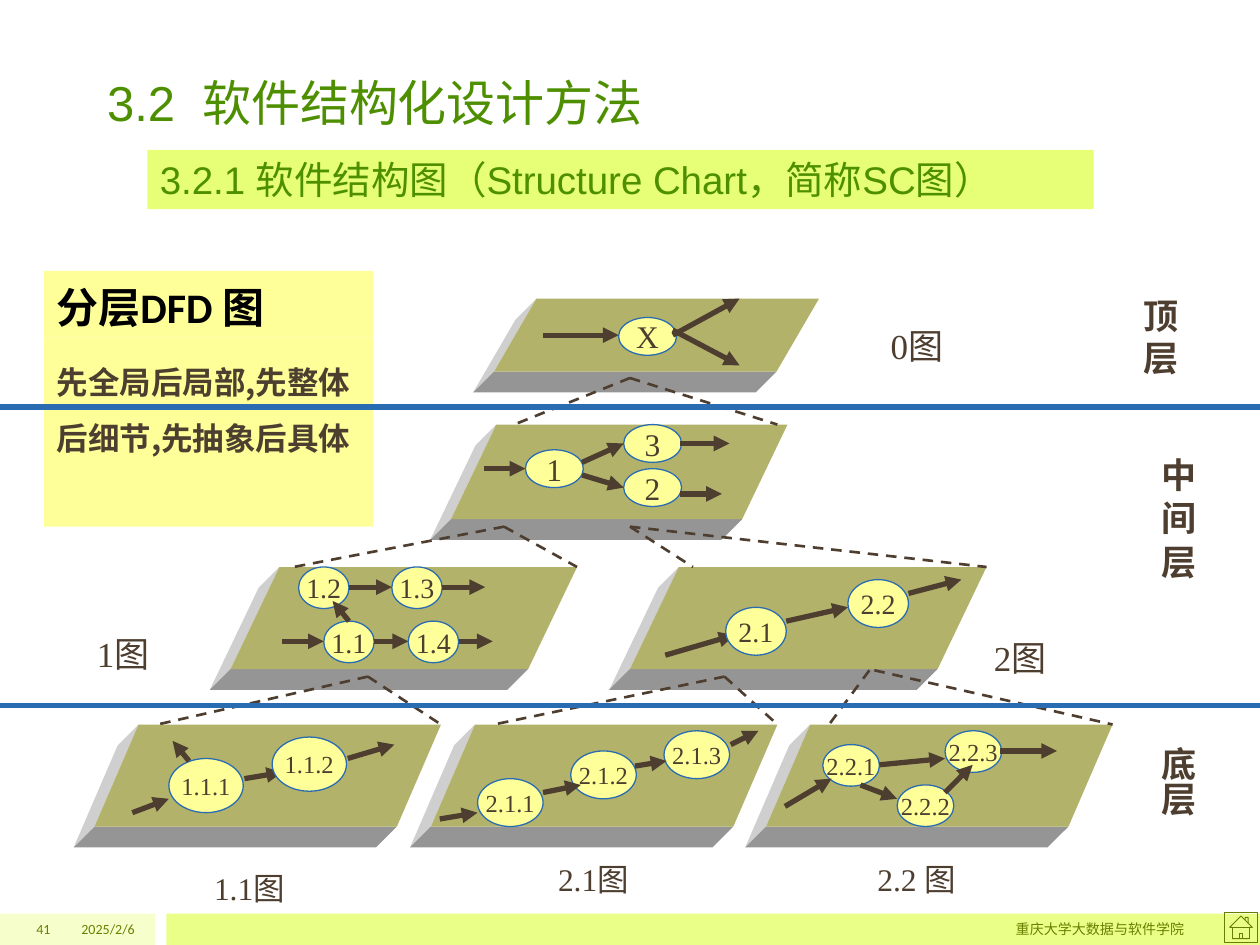
from dataclasses import dataclass

from lxml.etree import SubElement
from pptx import Presentation
from pptx.dml.color import RGBColor
from pptx.enum.dml import MSO_LINE
from pptx.enum.shapes import MSO_CONNECTOR, MSO_SHAPE
from pptx.enum.text import MSO_ANCHOR, PP_ALIGN
from pptx.oxml.ns import qn
from pptx.util import Inches, Pt


@dataclass(frozen=True)
class Theme:
    green: str = "4E8F00"
    footer_text: str = "688000"
    home_line: str = "677E00"
    footer_pale: str = "F6FFCC"
    footer_bar: str = "E9FF88"
    banner: str = "E6FF77"
    yellow: str = "FFFF99"
    brown: str = "4D3E2F"
    blue: str = "2A6CB2"
    black: str = "000000"
    slab_top: str = "B2B26B"
    slab_left: str = "CFCFCF"
    slab_front: str = "959595"
    sans: str = "Arial"
    serif: str = "Times New Roman"
    body: str = "Calibri"
    chinese: str = "Noto Sans CJK SC"
    title_size: int = 28
    heading_size: int = 24
    banner_size: int = 22
    label_size: int = 20
    text_size: int = 18
    footer_size: int = 8
    thin: float = 0.75
    dash: float = 1.5
    thick: float = 3


THEME = Theme()
SLAB_DEPTH = 0.165
TITLE = "3.2  软件结构化设计方法"
BANNER = "3.2.1 软件结构图（Structure Chart，简称SC图）"
HEADING = "分层DFD 图"
ADVICE = "先全局后局部,先整体后细节,先抽象后具体"

# left, top, width, height, slant as a share of the height
SLABS = [
    (3.92, 2.37, 2.58, 0.58, 0.582),
    (3.58, 3.37, 2.67, 0.75, 0.479),
    (1.83, 4.5, 2.75, 0.81, 0.479),
    (5, 4.5, 2.83, 0.81, 0.479),
    (0.75, 5.75, 2.75, 0.81, 0.432),
    (3.42, 5.75, 2.75, 0.81, 0.432),
    (6.08, 5.75, 2.75, 0.81, 0.432),
]
# ellipse width, height, type size, then name, left, top of each process
PROCESSES = [
    (0.46, 0.3, 18, [("X", 4.91, 2.52), ("1", 4.17, 3.57), ("3", 4.95, 3.37), ("2", 4.95, 3.72)]),
    (0.4, 0.33, 16, [("1.1", 2.57, 4.93), ("1.2", 2.37, 4.5), ("1.4", 3.24, 4.93), ("1.3", 3.11, 4.5)]),
    (0.48, 0.38, 16, [("2.1", 5.76, 4.82), ("2.2", 6.73, 4.6)]),
    (0.59, 0.43, 14, [("1.1.1", 1.34, 6.02), ("1.1.2", 2.16, 5.85)]),
    (0.52, 0.38, 14, [("2.1.3", 5.27, 5.8), ("2.1.2", 4.53, 5.96), ("2.1.1", 3.79, 6.18)]),
    (0.45, 0.33, 14, [("2.2.2", 7.12, 6.23), ("2.2.3", 7.5, 5.8), ("2.2.1", 6.53, 5.91)]),
]
# all lines: x and y of the start, x and y of the end
FLOWS_BEHIND = [(5.28, 5.2, 5.83, 5.04), (1.94, 6.18, 2.24, 6.13)]
FLOWS = [
    (4.31, 2.66, 4.91, 2.66), (5.34, 2.66, 5.87, 2.37), (5.34, 2.62, 5.87, 2.9),
    (3.84, 3.72, 4.17, 3.72), (4.62, 3.67, 4.95, 3.52), (5.4, 3.52, 5.79, 3.52),
    (4.62, 3.77, 4.95, 3.87), (5.4, 3.92, 5.73, 3.92),
    (2.24, 5.09, 2.57, 5.09), (2.97, 5.09, 3.24, 5.09), (2.77, 4.93, 2.64, 4.77),
    (2.77, 4.66, 3.11, 4.66), (3.51, 4.66, 3.85, 4.66), (3.64, 5.09, 3.91, 5.09),
    (6.24, 4.93, 6.73, 4.82), (7.21, 4.71, 7.63, 4.6),
    (1.05, 6.45, 1.34, 6.34), (2.76, 6.02, 3.13, 5.91), (1.5, 6.04, 1.37, 5.88),
    (3.49, 6.5, 3.79, 6.45), (4.31, 6.29, 4.61, 6.23), (5.04, 6.08, 5.29, 6.04),
    (5.8, 5.91, 6.02, 5.8),
    (6.23, 6.4, 6.6, 6.18), (6.98, 6.07, 7.5, 6.02), (7.94, 5.96, 8.39, 5.96),
    (6.83, 6.23, 7.12, 6.34), (7.5, 6.29, 7.72, 6.07),
]
EXPANSIONS = [
    (5, 3, 4.08, 3.37), (5, 3, 6.17, 3.37),
    (4, 4.18, 2.33, 4.5), (4, 4.18, 4.58, 4.5), (5, 4.18, 5.5, 4.5), (5, 4.18, 7.83, 4.5),
    (2.92, 5.37, 1.25, 5.75), (2.92, 5.37, 3.5, 5.75),
    (5.75, 5.37, 3.92, 5.75), (5.75, 5.37, 6.17, 5.75),
    (6.9, 5.32, 6.58, 5.75), (6.94, 5.32, 8.83, 5.75),
]
LEVEL_LINES = [(10, 3.23, 0, 3.23), (10, 5.6, 0, 5.6)]
# text, box, type size, alignment
DIAGRAM_LABELS = [
    ("0图", (6.97, 2.53, 0.75, 0.44), THEME.label_size, PP_ALIGN.LEFT),
    ("1图", (0.67, 4.97, 0.75, 0.44), THEME.label_size, PP_ALIGN.LEFT),
    ("2图", (7.79, 5, 0.75, 0.44), THEME.label_size, PP_ALIGN.LEFT),
    ("1.1图", (1.48, 6.85, 1, 0.4), THEME.text_size, PP_ALIGN.CENTER),
    ("2.1图", (4.17, 6.78, 1.08, 0.4), THEME.text_size, PP_ALIGN.CENTER),
    ("2.2 图", (6.65, 6.78, 1.25, 0.4), THEME.text_size, PP_ALIGN.CENTER),
]
# text, box, vertical writing
LEVEL_LABELS = [
    ("顶层", (8.98, 2.29, 0.58, 0.77), False),
    ("中 间 层", (9.02, 3.53, 0.54, 1.75), True),
    ("底层", (9.02, 5.83, 0.54, 1), True),
]
FOOTERS = [
    ("2025/2/6", (0.5, 7.25, 0.67, 0.25)),
    ("重庆大学大数据与软件学院", (2, 7.25, 7.5, 0.25)),
    ("41", (0, 7.25, 0.5, 0.25)),
]


def inches(values):
    return [Inches(value) for value in values]


def write(shape, text, size, color=THEME.brown, font=THEME.serif, bold=False,
          align=PP_ALIGN.LEFT, anchor=MSO_ANCHOR.TOP, wrap=True):
    frame = shape.text_frame
    frame.word_wrap, frame.vertical_anchor = wrap, anchor
    paragraph = frame.paragraphs[0]
    paragraph.alignment = align
    run = paragraph.add_run()
    run.text = text
    run.font.size, run.font.bold, run.font.name = Pt(size), bold, font
    run.font.color.rgb = RGBColor.from_string(color)
    SubElement(run.font._element, qn("a:ea"), typeface=THEME.chinese)
    return paragraph


def paint(shape, fill=None, line=None, width=THEME.thin):
    shape.shadow.inherit = False
    if fill:
        shape.fill.solid()
        shape.fill.fore_color.rgb = RGBColor.from_string(fill)
    else:
        shape.fill.background()
    if line:
        shape.line.color.rgb = RGBColor.from_string(line)
        shape.line.width = Pt(width)
    else:
        shape.line.fill.background()
    return shape


def add_shape(slide, kind, box, fill=None, line=None, width=THEME.thin):
    return paint(slide.shapes.add_shape(kind, *inches(box)), fill, line, width)


def add_line(slide, ends, color, width, dashed=False, arrow=False):
    connector = slide.shapes.add_connector(MSO_CONNECTOR.STRAIGHT, *inches(ends))
    connector.line.color.rgb = RGBColor.from_string(color)
    connector.line.width = Pt(width)
    if dashed:
        connector.line.dash_style = MSO_LINE.DASH
    if arrow:
        SubElement(connector.line._get_or_add_ln(), qn("a:tailEnd"), type="triangle")
    SubElement(connector._element.spPr, qn("a:effectLst"))


def add_slab(slide, left, top, width, height, slant):
    """Draw a parallelogram with its left and front sides showing thickness."""
    inset = slant * height
    back = (left + inset, top)
    corner = (left, top + height)
    right = (left + width - inset, top + height)
    for (x1, y1), (x2, y2), fill in ((back, corner, THEME.slab_left), (corner, right, THEME.slab_front)):
        builder = slide.shapes.build_freeform(Inches(x1), Inches(y1), scale=1.0)
        builder.add_line_segments([inches(point) for point in (
            (x1 - SLAB_DEPTH, y1 + SLAB_DEPTH), (x2 - SLAB_DEPTH, y2 + SLAB_DEPTH), (x2, y2))])
        paint(builder.convert_to_shape(), fill)
    face = add_shape(slide, MSO_SHAPE.PARALLELOGRAM, (left, top, width, height), THEME.slab_top)
    face.adjustments[0] = slant


def add_flows(slide, flows):
    for ends in flows:
        add_line(slide, ends, THEME.brown, THEME.thick, arrow=True)


def add_diagrams(slide):
    for slab in SLABS:
        add_slab(slide, *slab)
    for ends in EXPANSIONS:
        add_line(slide, ends, THEME.brown, THEME.dash, dashed=True)
    add_flows(slide, FLOWS_BEHIND)
    for width, height, size, processes in PROCESSES:
        for name, left, top in processes:
            ellipse = add_shape(slide, MSO_SHAPE.OVAL, (left, top, width, height), THEME.yellow, THEME.blue)
            write(ellipse, name, size, align=PP_ALIGN.CENTER, anchor=MSO_ANCHOR.MIDDLE, wrap=False)
    add_flows(slide, FLOWS)


def add_labels(slide):
    for text, box, size, align in DIAGRAM_LABELS:
        write(slide.shapes.add_textbox(*inches(box)), text, size, align=align)
    for text, box, vertical in LEVEL_LABELS:
        label = slide.shapes.add_textbox(*inches(box))
        write(label, text, THEME.label_size, font=THEME.chinese, bold=True)
        if vertical:
            label.text_frame.margin_top = Inches(0.1)
            label.text_frame._txBody.bodyPr.set("vert", "eaVert")


def add_footer(slide):
    add_shape(slide, MSO_SHAPE.RECTANGLE, (0, 7.25, 1.23, 0.25), THEME.footer_pale)
    add_shape(slide, MSO_SHAPE.RECTANGLE, (1.32, 7.25, 8.68, 0.25), THEME.footer_bar)
    add_shape(slide, MSO_SHAPE.ACTION_BUTTON_HOME, (9.72, 7.24, 0.26, 0.24), line=THEME.home_line, width=0.5)
    for text, box in FOOTERS:
        write(slide.shapes.add_textbox(*inches(box)), text, THEME.footer_size, THEME.footer_text,
              THEME.body, align=PP_ALIGN.RIGHT, anchor=MSO_ANCHOR.MIDDLE)


def main():
    presentation = Presentation()
    presentation.slide_width, presentation.slide_height = Inches(10), Inches(7.5)
    slide = presentation.slides.add_slide(presentation.slide_layouts[5])
    add_footer(slide)
    title = slide.shapes.title
    title.left, title.top, title.width, title.height = inches((0.75, 0.38, 8.51, 0.71))
    write(title, TITLE, THEME.title_size, THEME.green, THEME.sans, anchor=MSO_ANCHOR.BOTTOM)
    banner = add_shape(slide, MSO_SHAPE.RECTANGLE, (1.17, 1.19, 7.51, 0.47), THEME.banner)
    write(banner, BANNER, THEME.banner_size, THEME.green, THEME.sans, anchor=MSO_ANCHOR.MIDDLE)
    add_diagrams(slide)
    add_labels(slide)
    advice = add_shape(slide, MSO_SHAPE.RECTANGLE, (0.35, 2.68, 2.61, 1.5), THEME.yellow)
    write(advice, ADVICE, THEME.text_size, font=THEME.chinese, bold=True).line_spacing = 1.5
    for ends in LEVEL_LINES:
        add_line(slide, ends, THEME.blue, THEME.thick)
    heading = add_shape(slide, MSO_SHAPE.RECTANGLE, (0.35, 2.15, 2.61, 0.53), THEME.yellow)
    write(heading, HEADING, THEME.heading_size, THEME.black, THEME.body, True, anchor=MSO_ANCHOR.BOTTOM)
    presentation.save("out.pptx")


if __name__ == "__main__":
    main()
